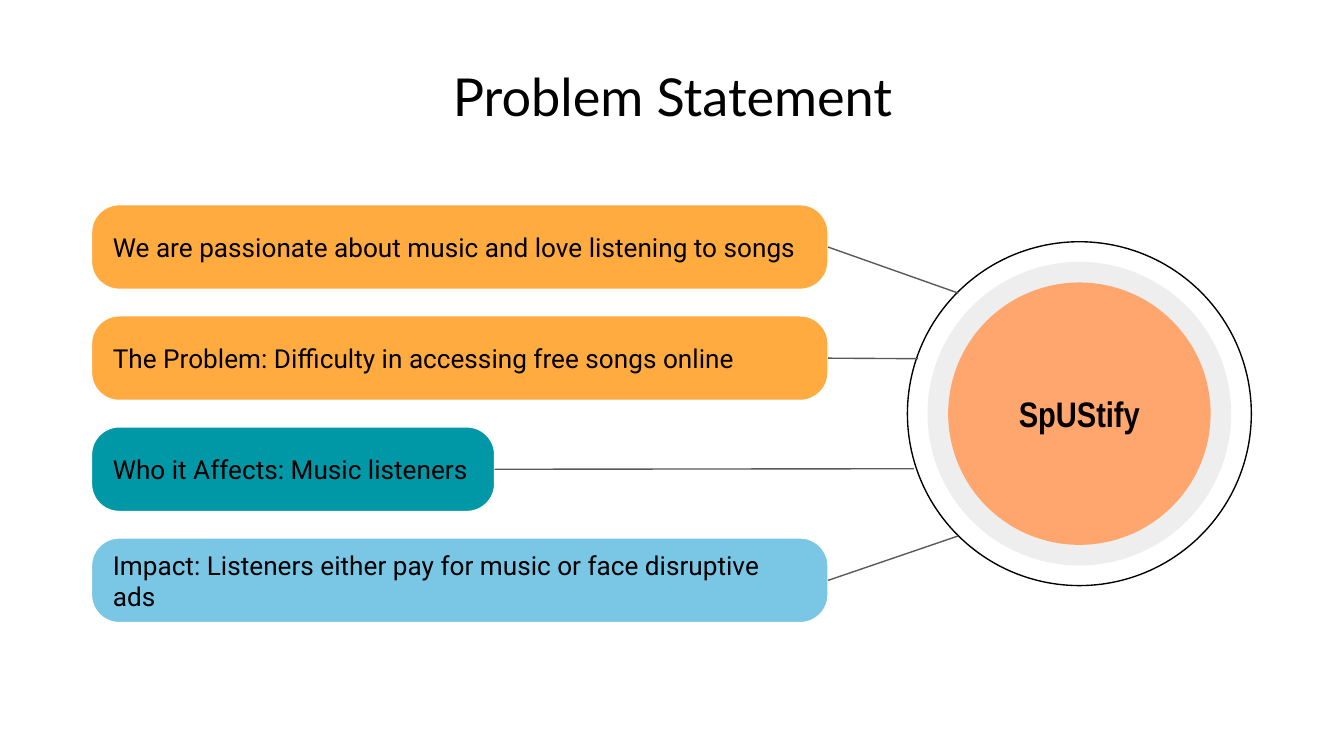
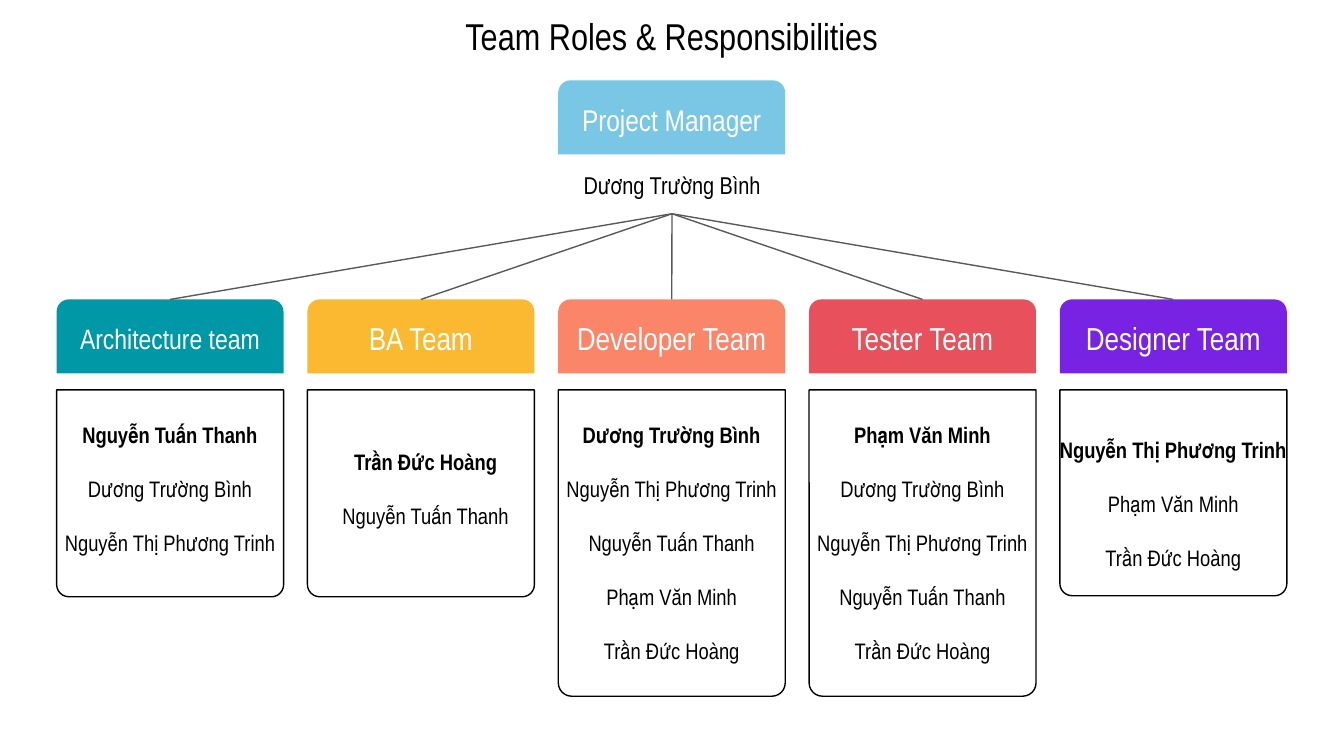
import dataclasses

import lxml.etree
import pptx
import pptx.dml.color
import pptx.enum.shapes
import pptx.enum.text
import pptx.oxml.ns
import pptx.presentation
import pptx.shapes.base
import pptx.shapes.connector
import pptx.slide
import pptx.util

Cm = pptx.util.Cm
Pt = pptx.util.Pt
RGBColor = pptx.dml.color.RGBColor
Shape = pptx.enum.shapes.MSO_SHAPE
Align = pptx.enum.text.PP_ALIGN
Anchor = pptx.enum.text.MSO_ANCHOR

BLACK = RGBColor(0x00, 0x00, 0x00)
WHITE = RGBColor(0xFF, 0xFF, 0xFF)
GRAY = RGBColor(0x59, 0x59, 0x59)
PALE_GRAY = RGBColor(0xEE, 0xEE, 0xEE)
ORANGE = RGBColor(0xFF, 0xAB, 0x40)
TEAL = RGBColor(0x00, 0x97, 0xA7)
SKY = RGBColor(0x7A, 0xC6, 0xE5)
PEACH = RGBColor(0xFF, 0xA6, 0x6F)
AMBER = RGBColor(0xFB, 0xB8, 0x31)
CORAL = RGBColor(0xFB, 0x85, 0x69)
RED = RGBColor(0xE8, 0x50, 0x5B)
PURPLE = RGBColor(0x78, 0x23, 0xE4)

NARROW = "Arial Narrow"
LINE_WIDTH = Pt(0.75)
INSET = Cm(0.25)


@dataclasses.dataclass(frozen=True)
class Statement:
    text: str
    color: RGBColor
    width: float
    line_end: tuple[float, float]


@dataclasses.dataclass(frozen=True)
class Team:
    name: str
    color: RGBColor
    members: list[str]
    panel_height: float
    text_height: float
    name_size: float = 17
    text_shift: float = 0


STATEMENTS = [
    Statement("We are passionate about music and love listening to songs",
              ORANGE, 13.92, (18.11, 5.54)),
    Statement("The Problem: Difficulty in accessing free songs online",
              ORANGE, 13.92, (17.35, 6.78)),
    Statement("Who it Affects: Music listeners", TEAL, 7.62, (17.27, 8.86)),
    Statement("Impact: Listeners either pay for music or face disruptive ads",
              SKY, 13.92, (18.11, 10.13)),
]

BINH = "Dương Trường Bình"
THANH = "Nguyễn Tuấn Thanh"
TRINH = "Nguyễn Thị Phương Trinh"
HOANG = "Trần Đức Hoàng"
MINH = "Phạm Văn Minh"

TEAMS = [
    Team("Architecture team", TEAL, [THANH, BINH, TRINH], 3.91, 3.58, name_size=15),
    Team("BA Team", AMBER, [HOANG, THANH], 3.91, 3.58, text_shift=0.09),
    Team("Developer Team", CORAL, [BINH, TRINH, THANH, MINH, HOANG], 5.79, 5.64),
    Team("Tester Team", RED, [MINH, BINH, TRINH, THANH, HOANG], 5.79, 5.64),
    Team("Designer Team", PURPLE, [TRINH, MINH, HOANG], 3.89, 4.17),
]


def write_text(
    shape: pptx.shapes.base.BaseShape,
    *lines: str,
    size: float,
    font: str = NARROW,
    color: RGBColor = BLACK,
    align: Align = Align.CENTER,
    anchor: Anchor = Anchor.MIDDLE,
    bold_first: bool = False,
    gap: float = 0,
) -> None:
    """Write one paragraph per line, with a gap in points between them."""
    frame = shape.text_frame
    frame.word_wrap = True
    frame.auto_size = pptx.enum.text.MSO_AUTO_SIZE.NONE
    frame.vertical_anchor = anchor
    frame.margin_left = frame.margin_right = INSET
    frame.margin_top = frame.margin_bottom = INSET
    for index, line in enumerate(lines):
        paragraph = frame.add_paragraph() if index else frame.paragraphs[0]
        paragraph.alignment = align
        if index:
            paragraph.space_before = Pt(gap)
        run = paragraph.add_run()
        run.text = line
        run.font.name = font
        run.font.size = Pt(size)
        run.font.bold = bold_first and index == 0
        run.font.color.rgb = color


def add_box(
    shapes,
    kind: Shape,
    left: float,
    top: float,
    width: float,
    height: float,
    fill: RGBColor | None = None,
    line: RGBColor | None = None,
    corners: tuple[float, ...] = (),
) -> pptx.shapes.base.BaseShape:
    shape = shapes.add_shape(kind, Cm(left), Cm(top), Cm(width), Cm(height))
    shape.shadow.inherit = False
    for index, corner in enumerate(corners):
        shape.adjustments[index] = corner
    if fill is None:
        shape.fill.background()
    else:
        shape.fill.solid()
        shape.fill.fore_color.rgb = fill
    if line is None:
        shape.line.fill.background()
    else:
        shape.line.color.rgb = line
        shape.line.width = LINE_WIDTH
    return shape


def add_header(shapes, name: str, color: RGBColor, left: float, top: float,
               size: float) -> None:
    header = add_box(shapes, Shape.ROUND_2_SAME_RECTANGLE, left, top,
                     COLUMN_WIDTH, HEADER_HEIGHT, color, corners=(0.167, 0))
    write_text(header, name, size=size, color=WHITE)


def add_link(
    slide: pptx.slide.Slide,
    source: pptx.shapes.base.BaseShape,
    site: int,
    end: tuple[float, float],
) -> pptx.shapes.connector.Connector:
    """Draw a thin gray line from a side of the source to a point."""
    x, y = Cm(end[0]), Cm(end[1])
    connector = slide.shapes.add_connector(
        pptx.enum.shapes.MSO_CONNECTOR.STRAIGHT, x, y, x, y)
    connector.begin_connect(source, site)
    connector.line.color.rgb = GRAY
    connector.line.width = LINE_WIDTH
    lxml.etree.SubElement(connector.element.spPr, pptx.oxml.ns.qn("a:effectLst"))
    return connector


def add_titled_slide(
    presentation: pptx.presentation.Presentation,
    text: str,
    left: float,
    top: float,
    width: float,
    size: float,
    font: str,
) -> pptx.slide.Slide:
    slide = presentation.slides.add_slide(presentation.slide_layouts[5])
    title = slide.shapes.title
    title.left, title.top = Cm(left), Cm(top)
    title.width, title.height = Cm(width), Cm(1.35)
    write_text(title, text, size=size, font=font)
    return slide


STATEMENT_LEFT, STATEMENT_TOP = 1.73, 3.87
STATEMENT_HEIGHT, STATEMENT_PITCH = 1.6, 2.1
CIRCLE_X, CIRCLE_Y = 20.4, 7.82


def build_problem_slide(presentation: pptx.presentation.Presentation) -> None:
    slide = add_titled_slide(presentation, "Problem Statement",
                             1.98, 1.14, 21.46, 28, "Lato")
    boxes = []
    for index, statement in enumerate(STATEMENTS):
        box = add_box(slide.shapes, Shape.ROUNDED_RECTANGLE, STATEMENT_LEFT,
                      STATEMENT_TOP + index * STATEMENT_PITCH, statement.width,
                      STATEMENT_HEIGHT, statement.color, WHITE, (0.328,))
        write_text(box, statement.text, size=14, font="Roboto", align=Align.LEFT)
        boxes.append(box)

    for radius, fill, line in [(3.25, None, BLACK), (2.87, PALE_GRAY, None),
                               (2.48, PEACH, None)]:
        circle = add_box(slide.shapes, Shape.OVAL, CIRCLE_X - radius,
                         CIRCLE_Y - radius, 2 * radius, 2 * radius, fill, line)
    write_text(circle, "SpUStify", size=19, bold_first=True)

    for box, statement in zip(boxes, STATEMENTS):
        add_link(slide, box, 3, statement.line_end)


COLUMN_LEFT, COLUMN_PITCH, COLUMN_WIDTH = 1.07, 4.74, 4.29
HEADER_TOP, HEADER_HEIGHT = 5.66, 1.4
PANEL_TOP = 7.37
MEMBERS_TOP, MEMBERS_WIDTH = 7.44, 4.83


def build_team_slide(presentation: pptx.presentation.Presentation) -> None:
    slide = add_titled_slide(presentation, "Team Roles & Responsibilities",
                             6.89, 0, 11.61, 20, NARROW)
    lefts = [COLUMN_LEFT + index * COLUMN_PITCH for index in range(len(TEAMS))]
    for left, team in zip(lefts, TEAMS):
        group = slide.shapes.add_group_shape()
        panel = add_box(group.shapes, Shape.ROUND_2_SAME_RECTANGLE, left, PANEL_TOP,
                        COLUMN_WIDTH, team.panel_height, line=BLACK,
                        corners=(0.059, 0))
        panel.rotation = 180
        add_header(group.shapes, team.name, team.color, left, HEADER_TOP,
                   team.name_size)

    add_header(slide.shapes, "Project Manager", SKY, lefts[2], 1.52, 16)
    manager = slide.shapes.add_textbox(Cm(10.39), Cm(2.97), Cm(4.62), Cm(1.07))
    write_text(manager, BINH, size=13, anchor=Anchor.TOP)

    for left, team in zip(lefts, TEAMS):
        middle = left + COLUMN_WIDTH / 2
        members = slide.shapes.add_textbox(
            Cm(middle - MEMBERS_WIDTH / 2 + team.text_shift), Cm(MEMBERS_TOP),
            Cm(MEMBERS_WIDTH), Cm(team.text_height))
        write_text(members, *team.members, size=12, bold_first=True, gap=14.5)
        add_link(slide, manager, 2, (middle, HEADER_TOP))


def main() -> None:
    presentation = pptx.Presentation()
    presentation.slide_width = Cm(25.4)
    presentation.slide_height = Cm(14.29)
    build_problem_slide(presentation)
    build_team_slide(presentation)
    presentation.save("out.pptx")


if __name__ == "__main__":
    main()
